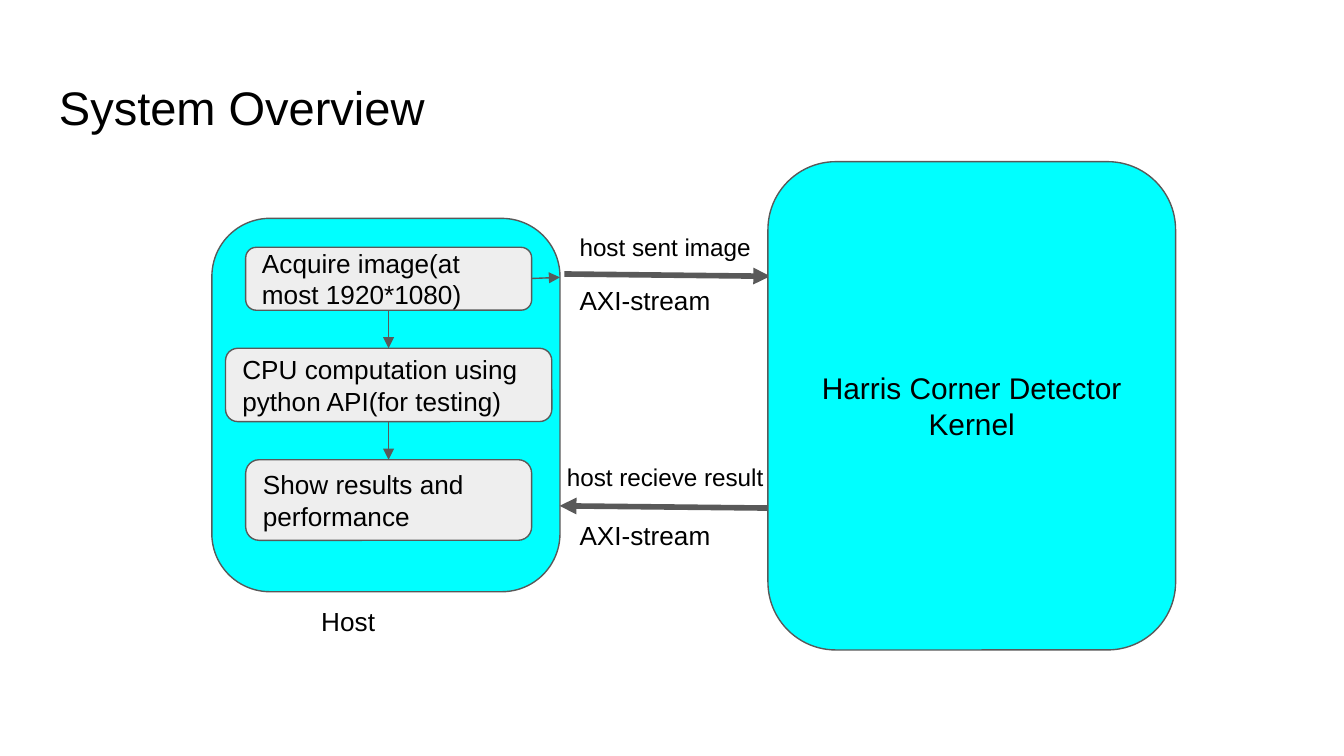
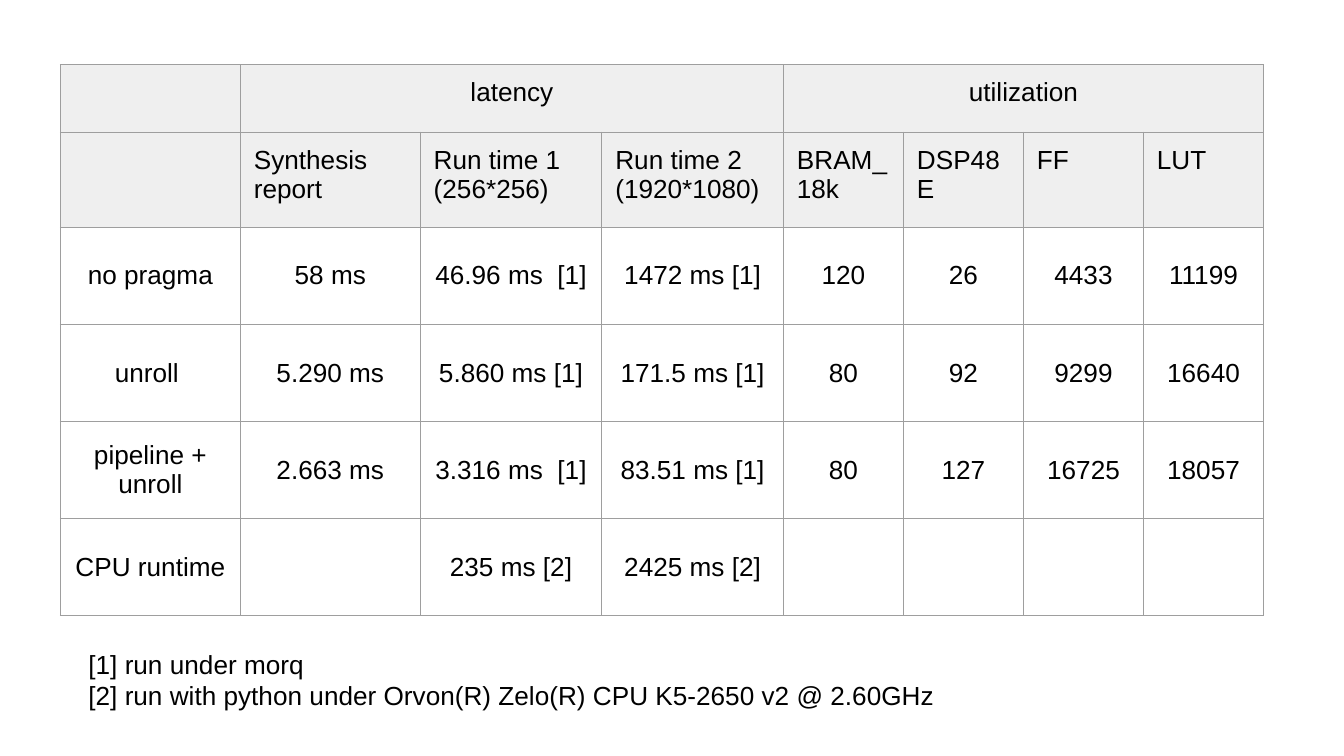
import dataclasses

import pptx
import pptx.dml.color
import pptx.enum.shapes
import pptx.enum.text
import pptx.oxml
import pptx.oxml.ns
import pptx.util

Pt = pptx.util.Pt
Align = pptx.enum.text.PP_ALIGN
Anchor = pptx.enum.text.MSO_ANCHOR


def rgb(code):
    return pptx.dml.color.RGBColor.from_string(code)


@dataclasses.dataclass(frozen=True)
class Theme:
    font: str = "Arial"
    ink: str = "000000"
    cyan: str = "00FFFF"
    pale: str = "EEEEEE"
    head: str = "EFEFEF"
    edge: str = "595959"
    grid: str = "9E9E9E"
    title: float = 25.2
    large: float = 16
    body: float = 14
    small: float = 13
    thin: float = 0.75
    thick: float = 3
    inset: float = 7.2


class Deck:
    def __init__(self, theme):
        self.theme = theme
        self.file = pptx.Presentation()
        self.file.slide_width, self.file.slide_height = Pt(720), Pt(405)
        self.slide = None

    def page(self):
        self.slide = self.file.slides.add_slide(self.file.slide_layouts[6])

    def words(self, frame, text, size, align=Align.LEFT):
        frame.text = text
        for para in frame.paragraphs:
            para.alignment = align
            para.font.name = self.theme.font
            para.font.size = Pt(size)
            para.font.color.rgb = rgb(self.theme.ink)

    def pad(self, item):
        item.margin_left = item.margin_right = Pt(self.theme.inset)
        item.margin_top = item.margin_bottom = Pt(self.theme.inset)

    def label(self, x, y, wide, high, text, size):
        frame = self.slide.shapes.add_textbox(
            Pt(x), Pt(y), Pt(wide), Pt(high)).text_frame
        frame.word_wrap = True
        self.pad(frame)
        self.words(frame, text, size)

    def box(self, x, y, wide, high, fill, text="", size=14, align=Align.LEFT):
        shape = self.slide.shapes.add_shape(
            pptx.enum.shapes.MSO_SHAPE.ROUNDED_RECTANGLE,
            Pt(x), Pt(y), Pt(wide), Pt(high))
        shape.shadow.inherit = False
        shape.fill.solid()
        shape.fill.fore_color.rgb = rgb(fill)
        shape.line.color.rgb = rgb(self.theme.edge)
        shape.line.width = Pt(self.theme.thin)
        if text:
            frame = shape.text_frame
            frame.word_wrap = True
            frame.vertical_anchor = Anchor.MIDDLE
            self.pad(frame)
            self.words(frame, text, size, align)

    def arrow(self, start, end, width):
        link = self.slide.shapes.add_connector(
            pptx.enum.shapes.MSO_CONNECTOR.STRAIGHT,
            *[Pt(v) for v in (*start, *end)])
        link.line.color.rgb = rgb(self.theme.edge)
        link.line.width = Pt(width)
        props = link._element.spPr
        props.find(pptx.oxml.ns.qn("a:ln")).append(pptx.oxml.parse_xml(
            f'<a:tailEnd {pptx.oxml.ns.nsdecls("a")} type="triangle"/>'))
        props.append(pptx.oxml.parse_xml(
            f'<a:effectLst {pptx.oxml.ns.nsdecls("a")}/>'))

    def frame(self, cell):
        props = cell._tc.get_or_add_tcPr()
        for i, side in enumerate("LRTB"):
            props.insert(i, pptx.oxml.parse_xml(
                f'<a:ln{side} {pptx.oxml.ns.nsdecls("a")} '
                f'w="{Pt(self.theme.thin)}"><a:solidFill>'
                f'<a:srgbClr val="{self.theme.grid}"/>'
                f'</a:solidFill></a:ln{side}>'))

    def table(self, x, y, cols, rows, data, heads, spans):
        grid = self.slide.shapes.add_table(
            len(rows), len(cols), Pt(x), Pt(y),
            Pt(sum(cols)), Pt(sum(rows))).table
        grid.first_row = grid.horz_banding = False
        for col, wide in zip(grid.columns, cols):
            col.width = Pt(wide)
        for row, high in zip(grid.rows, rows):
            row.height = Pt(high)
        for r, line in enumerate(data):
            for c, text in enumerate(line):
                cell = grid.cell(r, c)
                mid = r == 0 or r >= heads
                self.pad(cell)
                self.words(cell.text_frame, text, self.theme.body,
                           Align.CENTER if mid else Align.LEFT)
                if r < heads:
                    cell.fill.solid()
                    cell.fill.fore_color.rgb = rgb(self.theme.head)
                else:
                    cell.fill.background()
                    cell.vertical_anchor = Anchor.MIDDLE
                self.frame(cell)
        for first, last in spans:
            grid.cell(0, first).merge(grid.cell(0, last))


def system(deck):
    look = deck.theme
    deck.page()
    deck.label(24.5, 35, 671, 45, "System Overview", look.title)

    # Host, kernel and the streams between them
    deck.box(113.5, 117, 186.5, 200, look.cyan)
    deck.label(165, 317, 281, 32, "Host", look.body)
    deck.arrow((302.4, 146.8), (412.6, 148), look.thick)
    deck.box(411.4, 86.6, 218.4, 261.6, look.cyan,
             "Harris Corner Detector Kernel", look.large, Align.CENTER)
    deck.arrow((411.4, 272.2), (299.8, 271), look.thick)
    deck.label(303.4, 117.4, 148, 30, "host sent image", look.small)
    deck.label(296.6, 240.6, 281, 30, "host recieve result", look.small)
    for y in (145, 271):
        deck.label(303.4, y, 281, 32, "AXI-stream", look.body)

    # Steps on the host, stacked on one axis
    axis, gap, y = 208.2, 20.4, 132.5
    steps = [(153.2, 33.7, "Acquire image(at most 1920*1080)"),
             (174.8, 39.3, "CPU computation using python API(for testing)"),
             (153.2, 43.2, "Show results and performance")]
    for i, (wide, high, text) in enumerate(steps):
        if i:
            deck.arrow((axis, y - gap), (axis, y), look.thin)
        deck.box(axis - wide / 2, y, wide, high, look.pale, text, look.body)
        y += high + gap
    deck.arrow((284.8, 149.2), (300, 148.6), look.thin)


def results(deck):
    deck.page()
    data = [
        ["", "latency", "", "", "utilization", "", "", ""],
        ["", "Synthesis report", "Run time 1\n(256*256)",
         "Run time 2\n(1920*1080)", "BRAM_\n18k", "DSP48E", "FF", "LUT"],
        ["no pragma", "58 ms", "46.96 ms  [1]", "1472 ms [1]",
         "120", "26", "4433", "11199"],
        ["unroll ", "5.290 ms", "5.860 ms [1]", "171.5 ms [1]",
         "80", "92", "9299", "16640"],
        ["pipeline + unroll", "2.663 ms", "3.316 ms  [1]", "83.51 ms [1]",
         "80", "127", "16725", "18057"],
        ["CPU runtime ", "", "235 ms [2]", "2425 ms [2]", "", "", "", ""],
    ]
    cols = [96.4] * 2 + [97.3] * 2 + [64.3] * 4
    rows = [36.2, 51] + [52] * 4
    deck.table(32.4, 34.6, cols, rows, data, 2, [(1, 3), (4, 7)])

    # Notes under the table
    deck.label(40.3, 340, 477, 65,
               "[1] run under morq\n[2] run with python under "
               "Orvon(R) Zelo(R) CPU K5-2650 v2 @ 2.60GHz",
               deck.theme.body)


def main():
    deck = Deck(Theme())
    system(deck)
    results(deck)
    deck.file.save("out.pptx")


if __name__ == "__main__":
    main()
